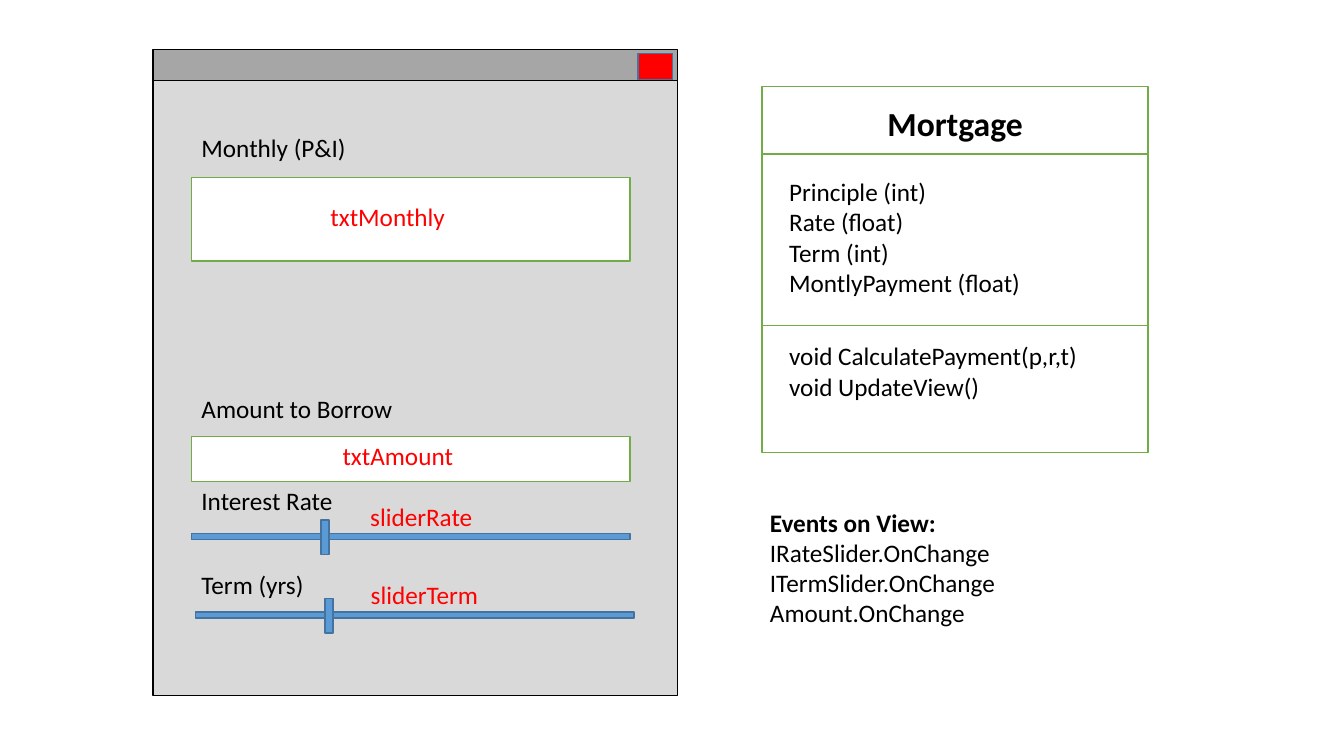
import pptx
import pptx.util
import pptx.dml.color
import pptx.enum.shapes
import pptx.enum.text
from dataclasses import dataclass


@dataclass(frozen=True)
class Theme:
    font: str = "Calibri"
    body: int = 18
    heading: int = 24
    line: int = 1
    black: str = "000000"
    white: str = "FFFFFF"
    red: str = "FF0000"
    bar: str = "A6A6A6"
    window: str = "D9D9D9"
    green: str = "70AD47"
    blue: str = "5B9BD5"
    dark_blue: str = "43739E"


theme = Theme()
RGB = pptx.dml.color.RGBColor.from_string
ALIGN = pptx.enum.text.PP_ALIGN

# Slide grid: 133.33 columns by 75 rows of square cells
COLS, ROWS = 133.33, 75
CELL = pptx.util.Inches(0.1)

prs = pptx.Presentation()
prs.slide_width, prs.slide_height = int(COLS * CELL), ROWS * CELL
s = prs.slides.add_slide(prs.slide_layouts[6])


def box(col, row, cols, rows, fill, line):
    sp = s.shapes.add_shape(pptx.enum.shapes.MSO_SHAPE.RECTANGLE,
                            *(int(n * CELL) for n in (col, row, cols, rows)))
    sp.shadow.inherit = False
    sp.fill.solid()
    sp.fill.fore_color.rgb = RGB(fill)
    sp.line.color.rgb = RGB(line)
    sp.line.width = pptx.util.Pt(theme.line)


def text(col, row, cols, rows, lines, color=theme.black, size=theme.body,
         align=ALIGN.LEFT, bold_first=False):
    sp = s.shapes.add_textbox(*(int(n * CELL) for n in (col, row, cols, rows)))
    tf = sp.text_frame
    tf.word_wrap = True
    tf.auto_size = pptx.enum.text.MSO_AUTO_SIZE.SHAPE_TO_FIT_TEXT
    for i, line in enumerate(lines):
        p = tf.paragraphs[0] if i == 0 else tf.add_paragraph()
        p.alignment = align
        r = p.add_run()
        r.text = line
        r.font.name = theme.font
        r.font.size = pptx.util.Pt(size)
        r.font.bold = bold_first and i == 0
        r.font.color.rgb = RGB(color)


# Window: title bar, body and close button
win_col, win_cols, win_rows = 15.2, 52, 61
for row, fill in ((4.9, theme.bar), (8, theme.window)):
    box(win_col, row, win_cols, win_rows, fill, theme.black)
box(63.3, 5.3, 3.4, 2.6, theme.red, theme.dark_blue)

# Text fields
form_col, form_cols, label_rows = 19, 43.5, 4
for row, rows in ((17.6, 8.3), (43.3, 4.5)):
    box(form_col, row, form_cols, rows, theme.white, theme.green)

# Sliders: track, then thumb
for col, row in ((form_col, 52.9), (form_col + 0.4, 60.7)):
    box(col, row, form_cols, 0.6, theme.blue, theme.dark_blue)
    box(col + 12.85, row - 1.3, 0.8, 3.4, theme.blue, theme.dark_blue)

# Field labels
for row, label in ((12.6, "Monthly (P&I)"), (38.5, "Amount to Borrow"),
                   (47.7, "Interest Rate"), (56, "Term (yrs)")):
    text(form_col, row, 24.9, label_rows, [label])

# Control names
for col, row, cols, name, align in (
        (31.8, 19.5, 30, "txtMonthly", ALIGN.LEFT),
        (33, 43.2, 30, "txtAmount", ALIGN.LEFT),
        (34.3, 49.2, 15, "sliderRate", ALIGN.CENTER),
        (35.8, 57, 14.3, "sliderTerm", ALIGN.LEFT)):
    text(col, row, cols, label_rows, [name], theme.red, align=align)

# Class diagram: name, attributes and methods stacked without gaps
class_col, class_cols, row = 75.6, 38.3, 8.6
for rows in (6.7, 17, 12.6):
    box(class_col, row, class_cols, rows, theme.white, theme.green)
    row += rows
text(82.3, 9.7, 24.9, 5, ["Mortgage"], size=theme.heading,
     align=ALIGN.CENTER, bold_first=True)
text(77.3, 17, 26.8, 13.1, ["Principle (int)", "Rate (float)", "Term (int)",
                            "MontlyPayment (float)"])
text(77.3, 33.3, 48.5, 7.1, ["void CalculatePayment(p,r,t)",
                             "void UpdateView()"])

# Events
text(75.4, 49.8, 52.7, 13.1, ["Events on View:", "IRateSlider.OnChange",
                              "ITermSlider.OnChange", "Amount.OnChange"],
     bold_first=True)

prs.save("out.pptx")
